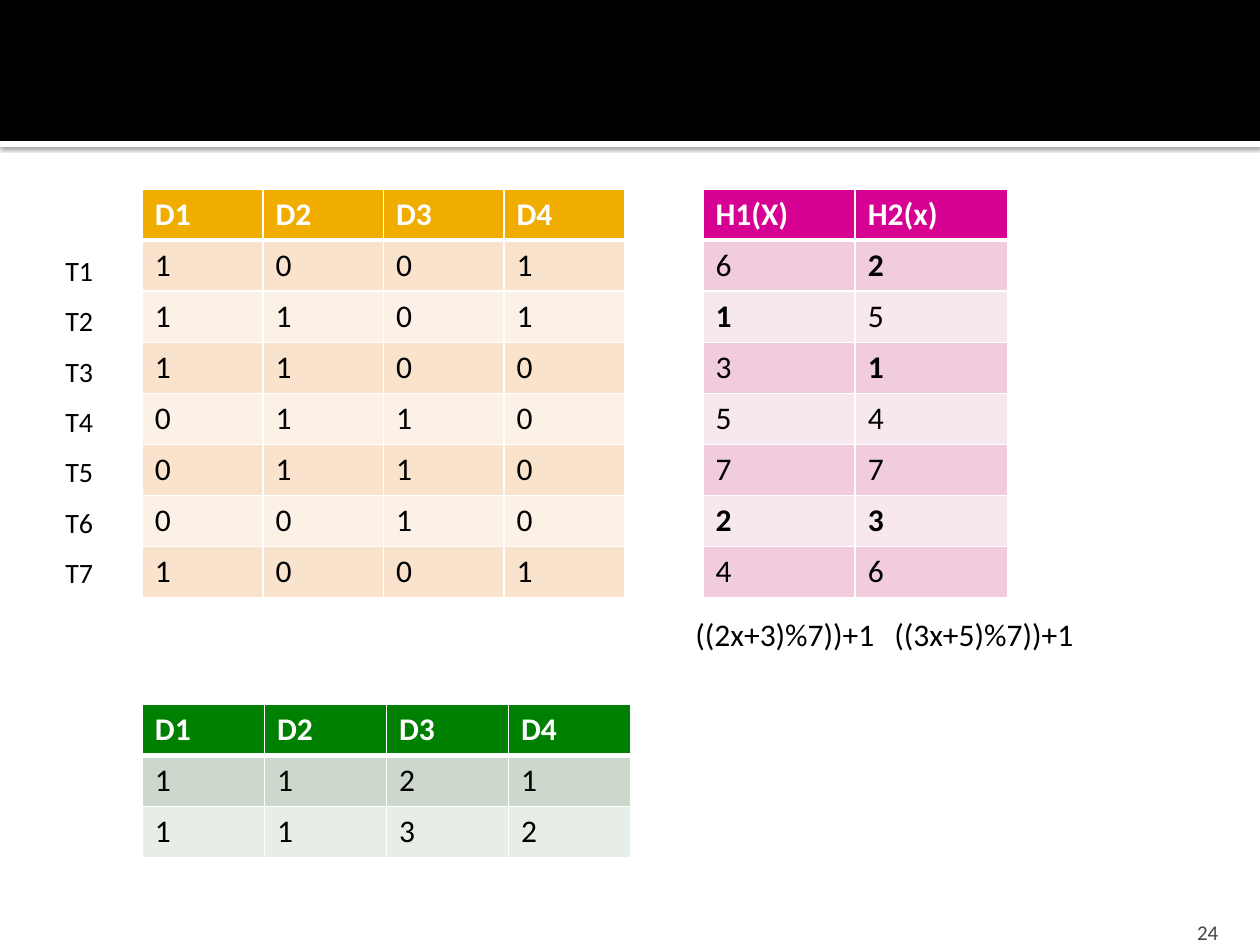
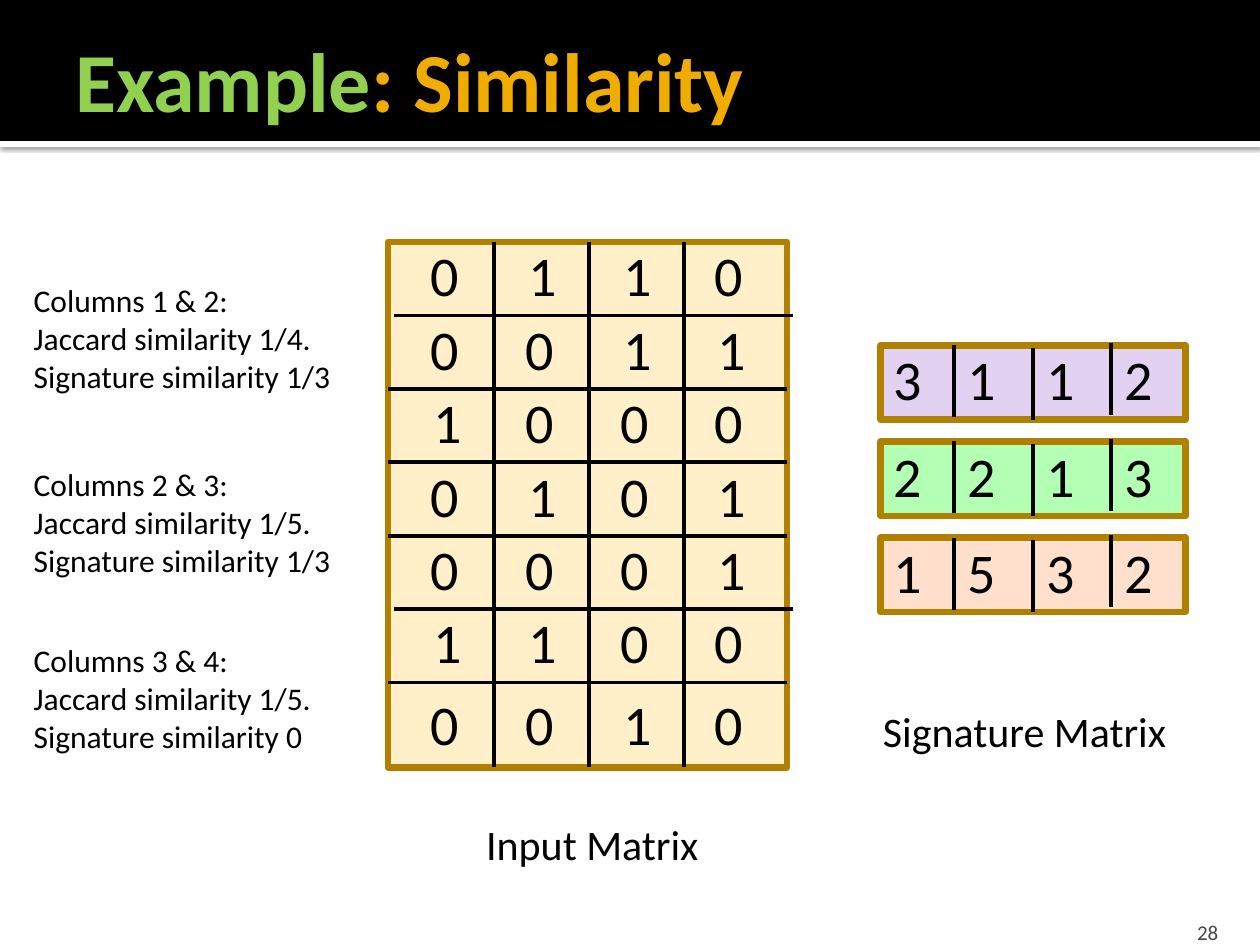
from dataclasses import dataclass

from lxml import etree
from pptx import Presentation
from pptx.dml.color import RGBColor
from pptx.enum.shapes import MSO_CONNECTOR, MSO_SHAPE
from pptx.enum.text import MSO_ANCHOR, PP_ALIGN
from pptx.oxml.ns import qn
from pptx.util import Cm, Pt

RECTANGLE = MSO_SHAPE.RECTANGLE
STRAIGHT = MSO_CONNECTOR.STRAIGHT
TOP, MIDDLE, BOTTOM = MSO_ANCHOR.TOP, MSO_ANCHOR.MIDDLE, MSO_ANCHOR.BOTTOM
LEFT, RIGHT = PP_ALIGN.LEFT, PP_ALIGN.RIGHT


@dataclass(frozen=True)
class Theme:
    font: str = "Calibri"
    black: str = "000000"
    white: str = "FFFFFF"
    gray: str = "454545"
    gold: str = "F0AD00"
    lime: str = "92D050"
    cream: str = "FFF0C9"
    frame: str = "B28000"
    title: int = 48
    digit: int = 32
    caption: int = 24
    body: int = 18
    label: int = 16
    footer: int = 12
    frame_width: float = 3.78
    rule_width: float = 2.25


THEME = Theme()
WIDTH, HEIGHT = 25.4, 19.05

DOCUMENTS = ["D1", "D2", "D3", "D4"]
TERMS = ["T1", "T2", "T3", "T4", "T5", "T6", "T7"]
HASH_TABLES = [
    {
        "at": (2.87, 3.81), "column": 2.43,
        "colors": (THEME.gold, "F9E3CC", "FCF1E7"), "bold": set(),
        "rows": [DOCUMENTS, "1001", "1101", "1100", "0110", "0110", "0010", "1001"],
    },
    {
        "at": (14.17, 3.81), "column": 3.07,
        "colors": ("D60093", "F0CCDC", "F7E7EE"),
        "bold": {(1, 1), (2, 0), (3, 1), (6, 0), (6, 1)},
        "rows": [["H1(X)", "H2(x)"], "62", "15", "31", "54", "77", "23", "46"],
    },
    {
        "at": (2.87, 14.2), "column": 2.46,
        "colors": ("008000", "CCD8CC", "E7EDE7"), "bold": set(),
        "rows": [DOCUMENTS, "1121", "1132"],
    },
]
TABLE_ROW = 1.03
FORMULAS = [(13.77, "((2x+3)%7))+1"), (17.78, "((3x+5)%7))+1")]

INPUT_MATRIX = ["0110", "0011", "1000", "0101", "0001", "1100", "0010"]
INPUT_FRAME = (7.82, 4.88, 8.05, 10.59)
INPUT_ROW, INPUT_COLUMN, FIRST_DIVIDER = 1.48, 1.91, 9.96
SHIFTED_RULES = {1, 5}
SIGNATURES = [("3112", "E3D1F1"), ("2213", "B3FFB3"), ("1532", "FFE0CC")]
SIGNATURE_FRAME = (17.75, 6.96, 6.15, 1.5)
SIGNATURE_STEP = 1.94
SIGNATURE_DIVIDERS = [(19.23, 0), (20.83, 0.05), (22.4, -0.05)]
CAPTIONS = [
    ("Input Matrix", (9.55, 16.38, 4.83, 1.27)),
    ("Signature Matrix", (17.55, 14.1, 6.43, 1.27)),
]
NOTES = [
    (5.54, 6.55, ["Columns 1 & 2:", "Jaccard similarity 1/4.", "Signature similarity 1/3"]),
    (9.25, 6.55, ["Columns 2 & 3:", "Jaccard similarity 1/5.", "Signature similarity 1/3"]),
    (12.8, 6.12, ["Columns 3 & 4:", "Jaccard similarity 1/5.", "Signature similarity 0"]),
]


def color(value):
    return RGBColor.from_string(value)


def place(frame):
    return [Cm(length) for length in frame]


def add_span(para, text, size, ink=THEME.black, bold=False):
    span = para.add_run()
    span.text = text
    span.font.name = THEME.font
    span.font.size = Pt(size)
    span.font.bold = bold
    span.font.color.rgb = color(ink)


def add_box(page, frame, lines, size, ink=THEME.black, bold=False, wrap=True,
            anchor=TOP, align=LEFT, spacing=None):
    box = page.shapes.add_textbox(*place(frame))
    text = box.text_frame
    text.word_wrap = wrap
    text.vertical_anchor = anchor
    for index, line in enumerate(lines):
        para = text.add_paragraph() if index else text.paragraphs[0]
        para.alignment = align
        if spacing:
            para.line_spacing = spacing
        for words, tint in ([(line, ink)] if isinstance(line, str) else line):
            add_span(para, words, size, tint, bold)
    return text


def add_rectangle(shapes, frame, fill, outline=None):
    shape = shapes.add_shape(RECTANGLE, *place(frame))
    shape.shadow.inherit = False
    shape.fill.solid()
    shape.fill.fore_color.rgb = color(fill)
    if outline:
        shape.line.color.rgb = color(outline)
        shape.line.width = Pt(THEME.frame_width)
    else:
        shape.line.fill.background()
    return shape


def add_rule(shapes, *ends):
    rule = shapes.add_connector(STRAIGHT, *place(ends))
    rule.line.color.rgb = color(THEME.black)
    rule.line.width = Pt(THEME.rule_width)
    etree.SubElement(rule.element.spPr, qn("a:effectLst"))


def add_color(parent, value):
    return etree.SubElement(parent, qn("a:srgbClr"), val=value)


def add_shadow(shape):
    effects = shape.element.spPr.find(qn("a:effectLst"))
    shadow = etree.SubElement(effects, qn("a:outerShdw"), blurRad=str(Pt(2.5)),
                              dist=str(Pt(0.8)), dir="5400000", rotWithShape="0")
    etree.SubElement(add_color(shadow, THEME.black), qn("a:alpha"), val="60000")


def add_page(deck, number, title=None):
    page = deck.slides.add_slide(deck.slide_layouts[6])
    add_shadow(add_rectangle(page.shapes, (0, 2.84, WIDTH, 0.13), THEME.white))
    add_rectangle(page.shapes, (0, 0, WIDTH, 2.84), THEME.black)
    if title:
        add_box(page, (1.27, 0.43, 24.13, 2.34), [title], THEME.title,
                bold=True, anchor=MIDDLE)
    footer = add_box(page, (22.78, 18.29, 2.03, 0.76), [str(number)], THEME.footer,
                     THEME.gray, anchor=BOTTOM, align=RIGHT)
    footer.margin_bottom = 0
    return page


def set_borders(cell, row):
    thick_sides = {0: "B", 1: "T"}
    properties = cell._tc.get_or_add_tcPr()
    for side in "LRTB":
        width = 3 if thick_sides.get(row) == side else 1
        border = etree.SubElement(properties, qn(f"a:ln{side}"), w=str(Pt(width)))
        add_color(etree.SubElement(border, qn("a:solidFill")), THEME.white)


def add_hash_table(page, content):
    rows = content["rows"]
    count = len(rows[0])
    header, odd, even = content["colors"]
    frame = (*content["at"], count * content["column"], len(rows) * TABLE_ROW)
    table = page.shapes.add_table(len(rows), count, *place(frame)).table
    for column in table.columns:
        column.width = Cm(content["column"])
    for r, values in enumerate(rows):
        table.rows[r].height = Cm(TABLE_ROW)
        for c, value in enumerate(values):
            cell = table.cell(r, c)
            set_borders(cell, r)
            cell.fill.solid()
            cell.fill.fore_color.rgb = color(header if r == 0 else odd if r % 2 else even)
            add_span(cell.text_frame.paragraphs[0], value, THEME.body,
                     THEME.black if r else THEME.white,
                     r == 0 or (r, c) in content["bold"])


def add_digit(page, left, top, digit):
    add_box(page, (left, top, 1.09, 1.63), [digit], THEME.digit, wrap=False)


def add_input_matrix(page):
    left, top, width, height = INPUT_FRAME
    add_rectangle(page.shapes, INPUT_FRAME, THEME.cream, THEME.frame)
    for r in range(1, len(INPUT_MATRIX)):
        y = top + r * INPUT_ROW
        start = left + (0.12 if r in SHIFTED_RULES else 0)
        add_rule(page.shapes, start, y, start + width, y)
    for c in range(len(INPUT_MATRIX[0]) - 1):
        x = FIRST_DIVIDER + c * INPUT_COLUMN
        add_rule(page.shapes, x, top, x, top + height)
    for r, digits in enumerate(INPUT_MATRIX):
        drop = 0.01 if r == len(INPUT_MATRIX) - 1 else -0.15
        for c, digit in enumerate(digits):
            nudge = 0.06 if digit == "1" else 0
            add_digit(page, 8.43 + c * INPUT_COLUMN + nudge, top + r * INPUT_ROW + drop, digit)


def add_signature(page, index, digits, fill):
    left, first_top, width, height = SIGNATURE_FRAME
    top = first_top + index * SIGNATURE_STEP
    group = page.shapes.add_group_shape()
    add_rectangle(group.shapes, (left, top, width, height), fill, THEME.frame)
    for x, shift in SIGNATURE_DIVIDERS:
        add_rule(group.shapes, x, top + shift, x, top + shift + 1.45)
    starts = [left] + [x for x, _ in SIGNATURE_DIVIDERS]
    for x, digit in zip(starts, digits):
        add_digit(page, x + 0.02, top - 0.13, digit)


def build_hash_page(deck):
    page = add_page(deck, 24)
    for content in HASH_TABLES:
        add_hash_table(page, content)
    add_box(page, (1.07, 4.65, 1.7, 8.13), TERMS, THEME.label, spacing=1.5)
    for left, formula in FORMULAS:
        add_box(page, (left, 12.27, 5.72, 1.02), [formula], THEME.body)


def build_similarity_page(deck):
    page = add_page(deck, 28, [("Example", THEME.lime), (": Similarity", THEME.gold)])
    add_input_matrix(page)
    for index, (digits, fill) in enumerate(SIGNATURES):
        add_signature(page, index, digits, fill)
    for caption, frame in CAPTIONS:
        add_box(page, frame, [caption], THEME.caption, wrap=False)
    for top, width, lines in NOTES:
        add_box(page, (0.43, top, width, 2.57), lines, THEME.body, wrap=False)


def main():
    deck = Presentation()
    deck.slide_width, deck.slide_height = Cm(WIDTH), Cm(HEIGHT)
    build_hash_page(deck)
    build_similarity_page(deck)
    deck.save("out.pptx")


if __name__ == "__main__":
    main()
